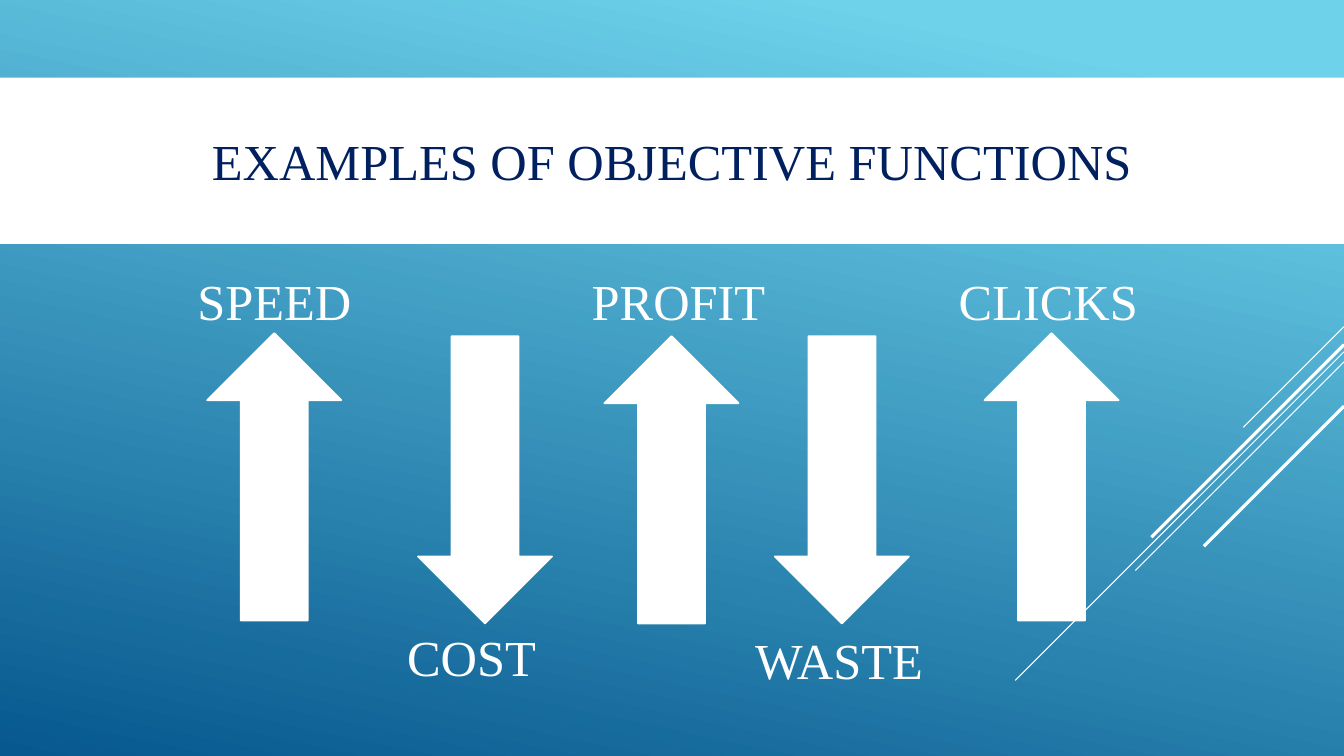
from dataclasses import dataclass

from lxml import etree
from pptx import Presentation
from pptx.dml.color import RGBColor
from pptx.enum.shapes import MSO_CONNECTOR, MSO_SHAPE
from pptx.enum.text import MSO_ANCHOR, MSO_AUTO_SIZE, PP_ALIGN
from pptx.oxml.ns import qn
from pptx.slide import Slide
from pptx.text.text import TextFrame
from pptx.util import Inches, Pt

RECT = MSO_SHAPE.RECTANGLE
ARROW = MSO_SHAPE.RIGHT_ARROW
STRAIGHT = MSO_CONNECTOR.STRAIGHT
MIDDLE = MSO_ANCHOR.MIDDLE
GROW = MSO_AUTO_SIZE.SHAPE_TO_FIT_TEXT
CENTER = PP_ALIGN.CENTER

WIDE, HIGH = 13.33, 7.5
WHITE, NAVY = "FFFFFF", "002060"
SKY, DEEP = "6ED2EB", "06588E"
LONG, THICK = 2.85, 1.33
UP, DOWN = 270, 90


@dataclass
class Ray:
    """A diagonal line falling left from the right edge."""
    top: float
    run: float
    weight: float = 0.75


@dataclass
class Goal:
    """An objective: its arrow (middle point, turn) and its label."""
    name: str
    mid_x: float
    mid_y: float
    turn: int
    left: float
    top: float
    width: float


RAYS = [
    Ray(3.24, 1.0),
    Ray(3.49, 3.26),
    Ray(3.59, 2.07),
    Ray(3.42, 1.91, 2.25),
    Ray(4.03, 1.39, 2.25),
]
GOALS = [
    Goal("SPEED", 2.72, 4.73, UP, 1.86, 2.63, 1.74),
    Goal("COST", 4.81, 4.76, DOWN, 3.94, 6.16, 1.74),
    Goal("PROFIT", 6.66, 4.76, UP, 5.77, 2.63, 2.13),
    Goal("WASTE", 8.35, 4.76, DOWN, 7.39, 6.19, 1.94),
    Goal("CLICKS", 10.43, 4.73, UP, 9.41, 2.63, 2.05),
]


def color(code: str) -> RGBColor:
    return RGBColor.from_string(code)


def write(frame: TextFrame, text: str, code: str) -> None:
    run = frame.paragraphs[0].add_run()
    run.text = text
    run.font.name = "Times New Roman"
    run.font.size = Pt(36)
    run.font.color.rgb = color(code)


def paint(slide: Slide) -> None:
    """Fill the background with the blue gradient."""
    fill = slide.background.fill
    fill.gradient()
    fill.gradient_angle = 360 - 102
    for stop, place, code in zip(fill.gradient_stops, (0.1, 1), (SKY, DEEP)):
        stop.position = place
        stop.color.rgb = color(code)


def draw_ray(slide: Slide, ray: Ray) -> None:
    line = slide.shapes.add_connector(
        STRAIGHT, Inches(WIDE), Inches(ray.top),
        Inches(WIDE - ray.run), Inches(ray.top + ray.run))
    line.line.color.rgb = color(WHITE)
    line.line.width = Pt(ray.weight)
    etree.SubElement(line._element.spPr, qn("a:effectLst"))


def draw_title(slide: Slide, text: str) -> None:
    band = slide.shapes.add_shape(
        RECT, 0, Inches(0.77), Inches(WIDE), Inches(1.65))
    band.shadow.inherit = False
    band.fill.solid()
    band.fill.fore_color.rgb = color(WHITE)
    band.line.fill.background()
    frame = band.text_frame
    frame.word_wrap = True
    frame.vertical_anchor = MIDDLE
    frame.paragraphs[0].alignment = CENTER
    write(frame, text, NAVY)


def draw_arrow(slide: Slide, goal: Goal) -> None:
    arrow = slide.shapes.add_shape(
        ARROW, Inches(goal.mid_x - LONG / 2), Inches(goal.mid_y - THICK / 2),
        Inches(LONG), Inches(THICK))
    arrow.rotation = goal.turn
    arrow.shadow.inherit = False
    arrow.fill.solid()
    arrow.fill.fore_color.rgb = color(WHITE)
    arrow.line.color.rgb = color(WHITE)
    arrow.line.width = Pt(1.25)


def draw_label(slide: Slide, goal: Goal) -> None:
    box = slide.shapes.add_textbox(
        Inches(goal.left), Inches(goal.top), Inches(goal.width), Inches(0.71))
    frame = box.text_frame
    frame.word_wrap = True
    frame.auto_size = GROW
    write(frame, goal.name, WHITE)


def main() -> None:
    deck = Presentation()
    deck.slide_width = Inches(WIDE)
    deck.slide_height = Inches(HIGH)
    slide = deck.slides.add_slide(deck.slide_layouts[6])
    paint(slide)
    for ray in RAYS:
        draw_ray(slide, ray)
    draw_title(slide, "EXAMPLES OF OBJECTIVE FUNCTIONS")
    for goal in GOALS:
        draw_arrow(slide, goal)
        draw_label(slide, goal)
    deck.save("out.pptx")


if __name__ == "__main__":
    main()
